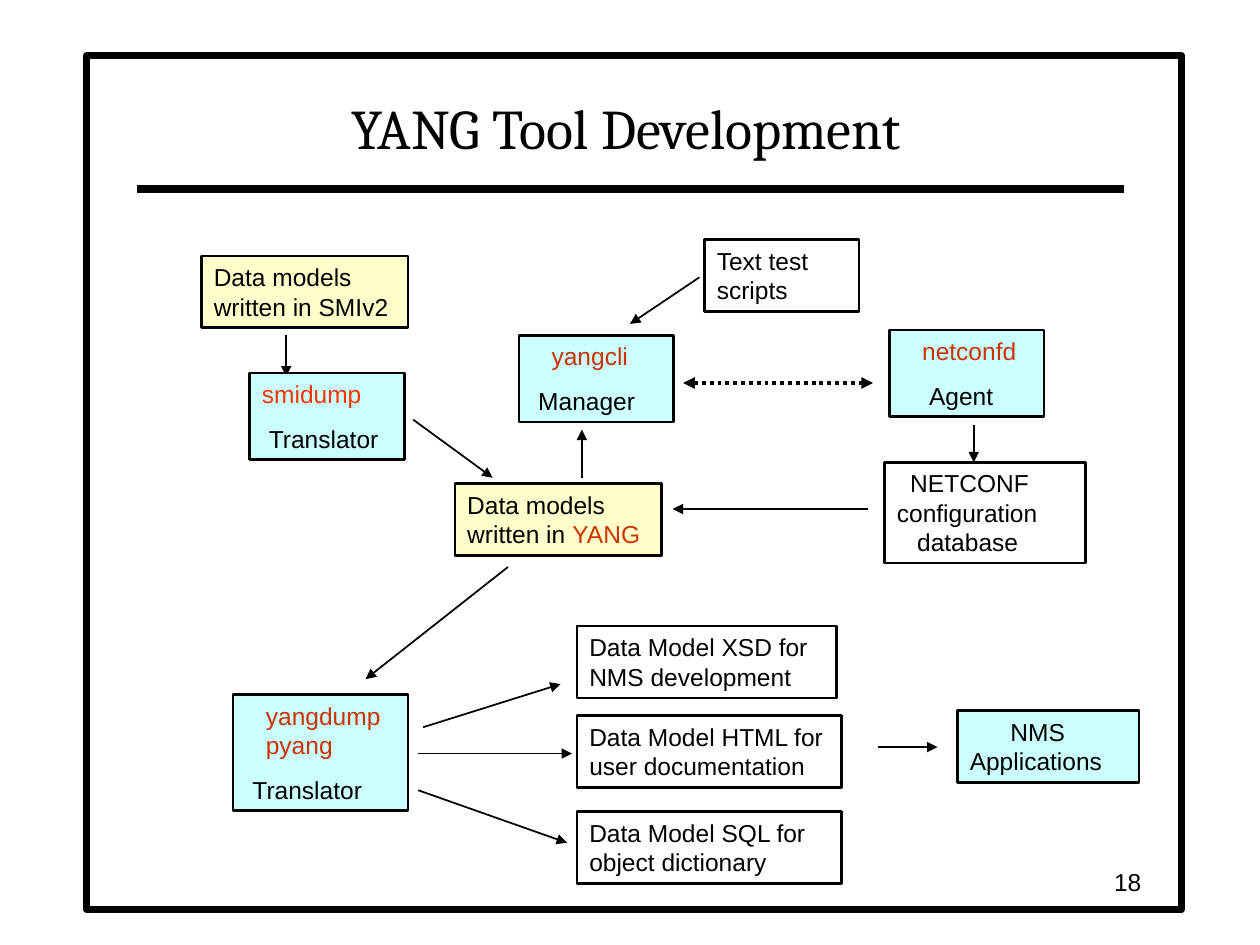
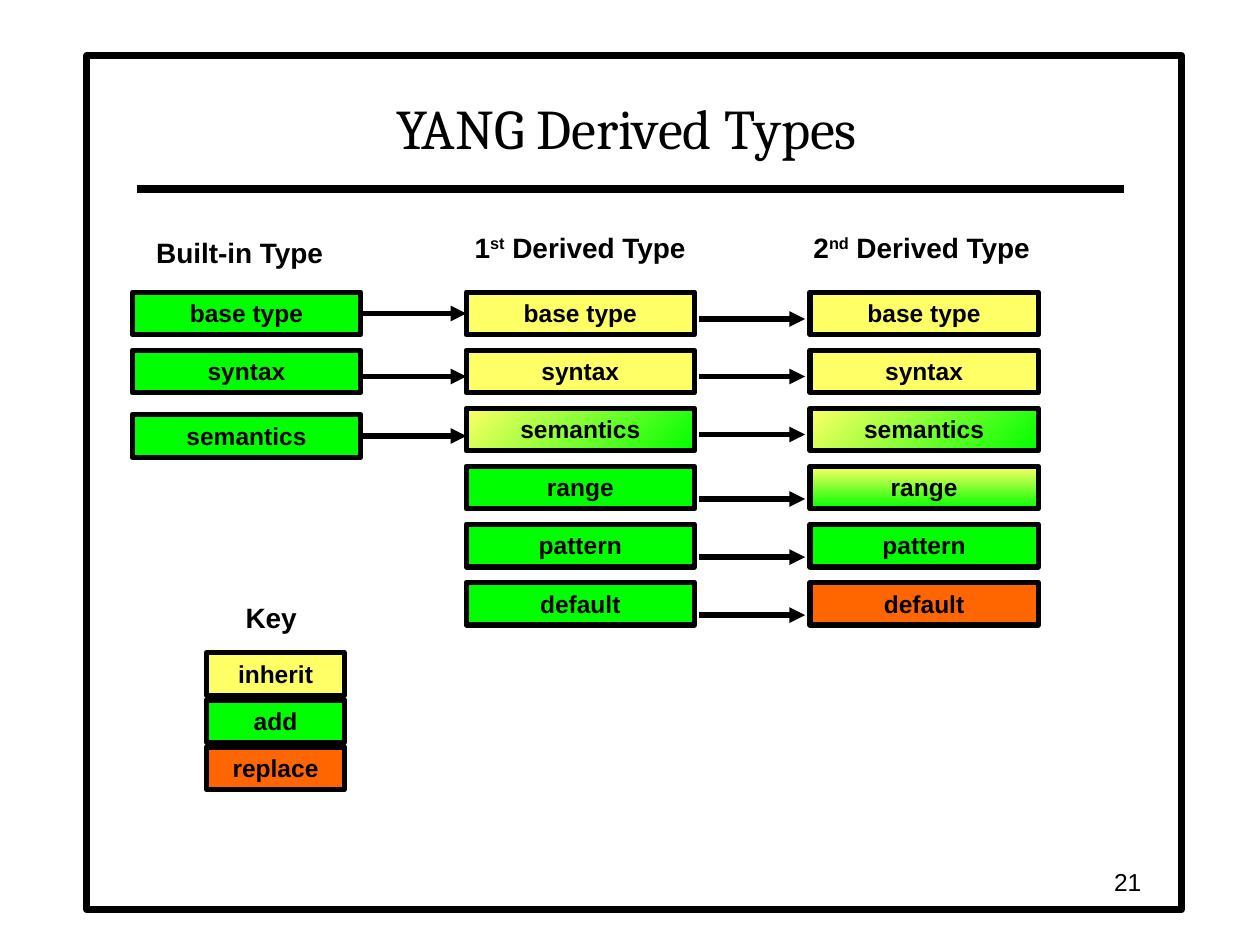
from pptx import Presentation
from pptx.dml.color import RGBColor
from pptx.enum.dml import MSO_LINE
from pptx.enum.shapes import MSO_CONNECTOR, MSO_SHAPE
from pptx.enum.text import MSO_ANCHOR as ANCHOR, PP_ALIGN as ALIGN
from pptx.oxml.ns import qn
from pptx.util import Cm, Pt
from lxml.etree import SubElement

color = RGBColor.from_string
BLACK, WHITE, RED, BRIGHT_RED = "000000", "FFFFFF", "CC3300", "FF3300"
TOOL_BLUE, MODEL_CREAM = "CCFFFF", "FFFFCC"
INHERIT, ADD, REPLACE = "FFFF66", "00FF00", "FF6600"
DIAGONAL, DOWNWARD = 315, 270  # gradient angles from inherit to add

BODY = {"name": "Arial", "size": Pt(14)}
BOLD = {**BODY, "bold": True}
HEADING = {**BOLD, "size": Pt(16)}
TITLE = {"name": "Cambria", "size": Pt(32)}


def add_box(slide, place, paragraphs, font=BODY, fill=None, line=0,
            align=ALIGN.LEFT, anchor=ANCHOR.TOP, wrap=True):
    """Add a rectangle; a paragraph is (indent in cm, space before in pt, runs),
    a run is (text, color) or (text, color, baseline), a fill is hex or an angle."""
    shape = slide.shapes.add_shape(MSO_SHAPE.RECTANGLE, *map(Cm, place))
    shape.shadow.inherit = False
    if fill is None:
        shape.fill.background()
    elif isinstance(fill, int):
        shape.fill.gradient()
        shape.fill.gradient_angle = fill
        for stop, stop_color in zip(shape.fill.gradient_stops, (INHERIT, ADD)):
            stop.color.rgb = color(stop_color)
    else:
        shape.fill.solid()
        shape.fill.fore_color.rgb = color(fill)
    if line:
        shape.line.color.rgb = color(BLACK)
        shape.line.width = Pt(line)
    else:
        shape.line.fill.background()
    frame = shape.text_frame
    frame.word_wrap = wrap
    frame.vertical_anchor = anchor
    for index, (indent, space_before, runs) in enumerate(paragraphs):
        paragraph = frame.add_paragraph() if index else frame.paragraphs[0]
        paragraph.alignment = align
        paragraph.space_before = Pt(space_before)
        if indent:
            paragraph._p.get_or_add_pPr().set("indent", str(Cm(indent)))
        for text, text_color, *baseline in runs:
            run = paragraph.add_run()
            run.text = text
            for name, value in font.items():
                setattr(run.font, name, value)
            run.font.color.rgb = color(text_color)
            if baseline:
                run._r.get_or_add_rPr().set("baseline", str(baseline[0]))


def add_line(slide, points, width, ends=(), dash=None):
    """Add a straight line; ends holds "headEnd" (start) and "tailEnd" (finish)."""
    connector = slide.shapes.add_connector(MSO_CONNECTOR.STRAIGHT, *map(Cm, points))
    connector.line.color.rgb = color(BLACK)
    connector.line.width = Pt(width)
    if dash:
        connector.line.dash_style = dash
    for end in ends:
        SubElement(connector.line._get_or_add_ln(), qn(f"a:{end}"), type="triangle")
    SubElement(connector._element.spPr, qn("a:effectLst"))


presentation = Presentation()
presentation.slide_width, presentation.slide_height = Cm(25.4), Cm(19.05)

# Frame, title, rule and number on every slide
slides = []
for title, number in (("YANG Tool Development", "18"), ("YANG Derived Types", "21")):
    slide = presentation.slides.add_slide(presentation.slide_layouts[6])
    add_box(slide, (1.75, 1.12, 22.07, 17.22), [], fill=WHITE, line=4)
    add_line(slide, (2.77, 3.81, 22.66, 3.81), 4.5)
    add_box(slide, (2.74, 1.47, 19.79, 1.9), [(0, 0, [(title, BLACK)])],
            TITLE, align=ALIGN.CENTER, anchor=ANCHOR.BOTTOM)
    add_box(slide, (17.98, 17.35, 5.28, 0.84), [(0, 0, [(number, BLACK)])],
            align=ALIGN.RIGHT, anchor=ANCHOR.MIDDLE)
    slides.append(slide)
tools_slide, types_slide = slides

# Tool development: arrows, then the boxes they join
tool_arrows = [
    (5.77, 6.76, 5.77, 7.59),      # SMIv2 models to smidump
    (8.33, 8.46, 9.93, 9.63),      # smidump to YANG models
    (11.73, 9.63, 11.73, 8.66),    # YANG models to yangcli
    (14.1, 5.59, 12.7, 6.53),      # test scripts to yangcli
    (19.63, 8.56, 19.63, 9.32),    # netconfd to database
    (17.5, 10.26, 13.56, 10.26),   # database to YANG models
    (10.24, 11.43, 7.37, 13.69),   # YANG models to yangdump
    (8.53, 14.66, 11.3, 13.79),    # yangdump to XSD
    (8.43, 15.19, 11.53, 15.19),   # yangdump to HTML
    (8.43, 15.93, 11.43, 16.99),   # yangdump to SQL
    (17.7, 15.06, 18.9, 15.06),    # outputs to applications
]
for points in tool_arrows:
    add_line(tools_slide, points, 1, ["tailEnd"])
add_line(tools_slide, (13.77, 7.72, 17.6, 7.72), 2.25,
         ["headEnd", "tailEnd"], MSO_LINE.ROUND_DOT)

ROLE_GAP = 8.8
tool_boxes = [
    ((4.7, 14, 3.53, 2.34), TOOL_BLUE,
     [(0.41, 0, [("yangdump", RED)]), (0.41, 0, [("pyang", RED)]),
      (0.14, ROLE_GAP, [("Translator", BLACK)])]),
    ((17.93, 6.65, 3.12, 1.75), TOOL_BLUE,
     [(0.41, 0, [("netconfd", RED)]), (0.55, ROLE_GAP, [("Agent", BLACK)])]),
    ((10.46, 6.76, 3.12, 1.75), TOOL_BLUE,
     [(0.41, 0, [("yangcli", RED)]), (0.14, ROLE_GAP, [("Manager", BLACK)])]),
    ((5.03, 7.52, 3.12, 1.75), TOOL_BLUE,
     [(0, 0, [("smidump", BRIGHT_RED)]), (0.14, ROLE_GAP, [("Translator", BLACK)])]),
    ((19.3, 14.33, 3.66, 1.45), TOOL_BLUE, [(0.82, 0, [("NMS Applications", BLACK)])]),
    ((4.06, 5.16, 4.17, 1.45), MODEL_CREAM,
     [(0, 0, [("Data models written in SMIv2", BLACK)])]),
    ((9.17, 9.75, 4.17, 1.45), MODEL_CREAM,
     [(0, 0, [("Data models written in ", BLACK), ("YANG", RED)])]),
    ((14.2, 4.83, 3.12, 1.45), None, [(0, 0, [("Text test scripts", BLACK)])]),
    ((17.83, 9.32, 4.06, 2.03), None,
     [(0.27, 0, [("NETCONF", BLACK)]), (0, 0, [("configuration", BLACK)]),
      (0.41, 0, [("database", BLACK)])]),
    ((11.63, 12.62, 5.23, 1.45), None,
     [(0, 0, [("Data Model XSD for NMS development", BLACK)])]),
    ((11.63, 14.43, 5.33, 1.45), None,
     [(0, 0, [("Data Model HTML for user documentation", BLACK)])]),
    ((11.63, 16.36, 5.33, 1.45), None,
     [(0, 0, [("Data Model SQL for object dictionary", BLACK)])]),
]
for place, fill, paragraphs in tool_boxes:
    add_box(tools_slide, place, paragraphs, fill=fill, line=1.5)

# Derived types: headings, three columns of properties, key
headings = [
    ((2.9, 4.62, 3.91, 0.94), [("Built-in Type", BLACK)]),
    ((9.32, 4.52, 4.8, 0.94),
     [("1", BLACK), ("st", BLACK, 30000), (" Derived Type", BLACK)]),
    ((16.15, 4.52, 4.9, 0.94),
     [("2", BLACK), ("nd", BLACK, 30000), (" Derived Type", BLACK)]),
    ((4.7, 11.99, 1.52, 0.94), [("Key", BLACK)]),
]
for place, runs in headings:
    add_box(types_slide, place, [(0, 0, runs)], HEADING, wrap=False)

BOX_HEIGHT, ROW_TOP, ROW_PITCH = 0.86, 5.89, 1.17
properties = ["base type", "syntax", "semantics", "range", "pattern", "default"]
columns = [
    (2.67, [ADD, ADD, ADD]),
    (9.4, [INHERIT, INHERIT, DIAGONAL, ADD, ADD, ADD]),
    (16.33, [INHERIT, INHERIT, DIAGONAL, DOWNWARD, ADD, REPLACE]),
]
labels = []
for column, (left, fills) in enumerate(columns):
    for row, (text, fill) in enumerate(zip(properties, fills)):
        lowered = 0.13 if column == 0 and row == 2 else 0
        top = ROW_TOP + row * ROW_PITCH + lowered
        labels.append(((left, top, 4.6, BOX_HEIGHT), text, fill))
key = [("inherit", INHERIT), ("add", ADD), ("replace", REPLACE)]
for row, (text, fill) in enumerate(key):
    labels.append(((4.17, 13.16 + row * 0.95, 2.77, BOX_HEIGHT), text, fill))
for place, text, fill in labels:
    add_box(types_slide, place, [(0, 0, [(text, BLACK)])], BOLD, fill, 3, ALIGN.CENTER)

derivations = [
    (7.26, 9.4, [6.32, 7.59, 8.79]),
    (14.1, 16.23, [6.43, 7.59, 8.76, 10.06, 11.23, 12.4]),
]
for start, finish, heights in derivations:
    for height in heights:
        add_line(types_slide, (start, height, finish, height), 3, ["tailEnd"])

presentation.save("out.pptx")
